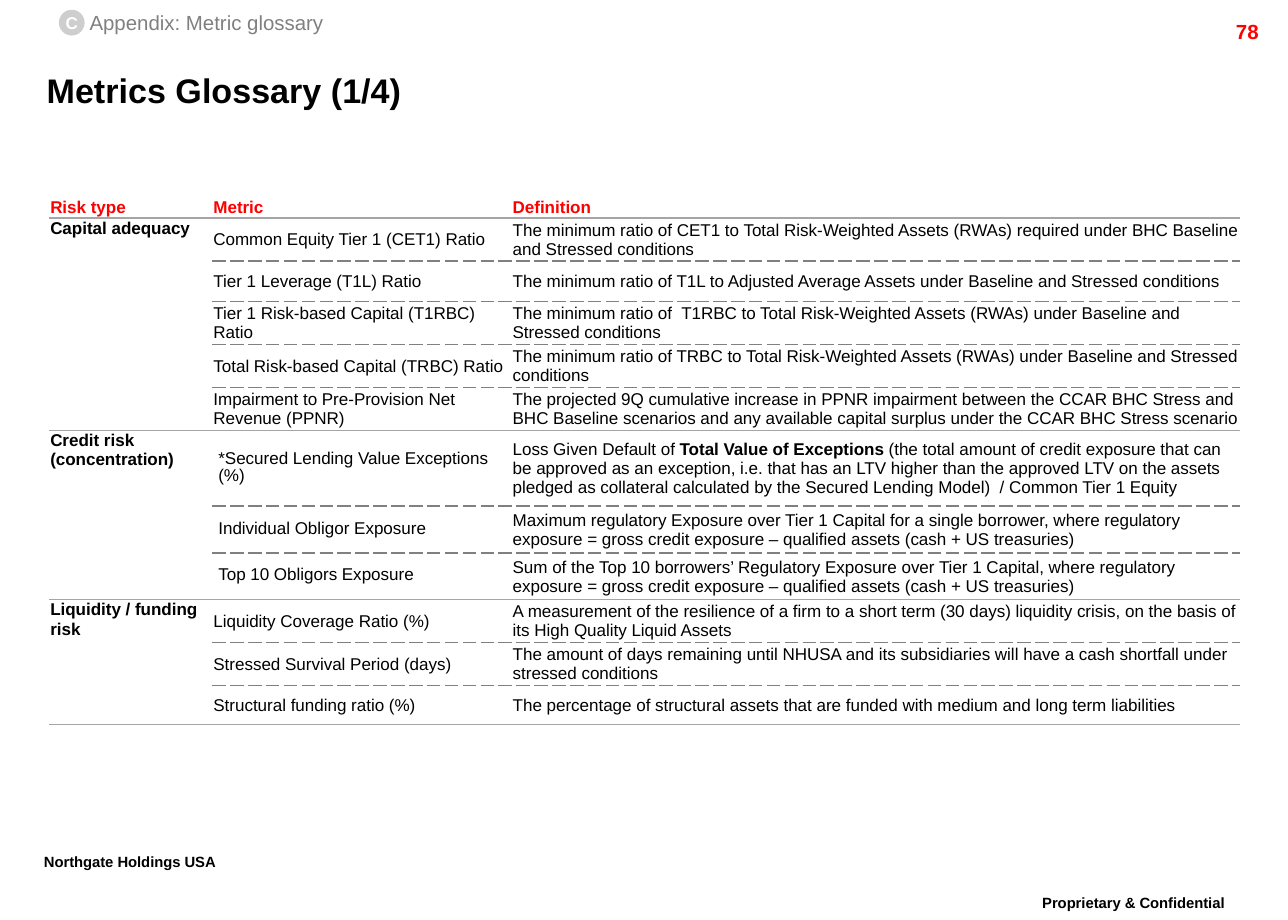
from dataclasses import dataclass

from lxml.etree import SubElement
from pptx import Presentation
from pptx.dml.color import RGBColor
from pptx.enum.shapes import MSO_SHAPE
from pptx.enum.text import MSO_ANCHOR, MSO_AUTO_SIZE, PP_ALIGN
from pptx.oxml.ns import qn
from pptx.util import Inches, Pt


@dataclass(frozen=True)
class Theme:
    font: str = "Arial"
    black: str = "000000"
    red: str = "FF0000"
    white: str = "FFFFFF"
    gray: str = "808080"
    badge: str = "CECECE"
    rule: str = "A5A5A5"
    title_size: int = 20
    footer_size: int = 15
    label_size: int = 12
    body_size: int = 10


THEME = Theme()
SOLID = (THEME.rule, 0.75, "solid")
DASHED = (THEME.gray, 1, "sysDash")
TIGHT = (0.01, 0.01, 0.01, 0)
PADDED = (0.05, 0.05, 0.05, 0.05)
COLUMN_WIDTHS = (1.33, 2.44, 5.94)
HEADINGS = ("Risk type", "Metric", "Definition")
HEADING_HEIGHT = 0.17

GLOSSARY = [
    ("Capital adequacy", TIGHT, [
        (0.35, "Common Equity Tier 1 (CET1) Ratio",
         "The minimum ratio of CET1 to Total Risk-Weighted Assets (RWAs) required under BHC Baseline and Stressed conditions"),
        (0.33, "Tier 1 Leverage (T1L) Ratio",
         "The minimum ratio of T1L to Adjusted Average Assets under Baseline and Stressed conditions"),
        (0.35, "Tier 1 Risk-based Capital (T1RBC) Ratio",
         "The minimum ratio of  T1RBC to Total Risk-Weighted Assets (RWAs) under Baseline and Stressed conditions"),
        (0.35, "Total Risk-based Capital (TRBC) Ratio",
         "The minimum ratio of TRBC to Total Risk-Weighted Assets (RWAs) under Baseline and Stressed conditions"),
        (0.35, "Impairment to Pre-Provision Net Revenue (PPNR)",
         "The projected 9Q cumulative increase in PPNR impairment between the CCAR BHC Stress and BHC Baseline scenarios and any available capital surplus under the CCAR BHC Stress scenario"),
    ]),
    ("Credit risk (concentration)", PADDED, [
        (0.62, "*Secured Lending Value Exceptions (%)",
         "Loss Given Default of **Total Value of Exceptions **(the total amount of credit exposure that can be approved as an exception, i.e. that has an LTV higher than the approved LTV on the assets pledged as collateral calculated by the Secured Lending Model)  / Common Tier 1 Equity"),
        (0.38, "Individual Obligor Exposure",
         "Maximum regulatory Exposure over Tier 1 Capital for a single borrower, where regulatory exposure = gross credit exposure – qualified assets (cash + US treasuries)"),
        (0.38, "Top 10 Obligors Exposure",
         "Sum of the Top 10 borrowers’ Regulatory Exposure over Tier 1 Capital, where regulatory exposure = gross credit exposure – qualified assets (cash + US treasuries)"),
    ]),
    ("Liquidity / funding risk", TIGHT, [
        (0.35, "Liquidity Coverage Ratio (%)",
         "A measurement of the resilience of a firm to a short term (30 days) liquidity crisis, on the basis of its High Quality Liquid Assets"),
        (0.35, "Stressed Survival Period (days)",
         "The amount of days remaining until NHUSA and its subsidiaries will have a cash shortfall under stressed conditions"),
        (0.32, "Structural funding ratio (%)",
         "The percentage of structural assets that are funded with medium and long term liabilities"),
    ]),
]


def write_text(frame, text, size=THEME.body_size, color=THEME.black, bold=False,
               align=PP_ALIGN.LEFT, spacing=None, raised=False):
    paragraph = frame.paragraphs[0]
    paragraph.alignment = align
    if spacing:
        paragraph.line_spacing = spacing
    for index, part in enumerate(text.split("**")):
        run = paragraph.add_run()
        run.text = part
        run.font.name = THEME.font
        run.font.size = Pt(size)
        run.font.bold = bold or index % 2 == 1
        run.font.color.rgb = RGBColor.from_string(color)
        if raised:
            run.font._element.set("baseline", "30000")


def set_margins(target, margins):
    (target.margin_left, target.margin_top,
     target.margin_right, target.margin_bottom) = map(Inches, margins)


def add_label(slide, box, text, margins=(0.1, 0.05, 0.1, 0.05),
              anchor=MSO_ANCHOR.TOP, wrap=True, **text_format):
    frame = slide.shapes.add_textbox(*map(Inches, box)).text_frame
    frame.word_wrap = wrap
    frame.vertical_anchor = anchor
    set_margins(frame, margins)
    write_text(frame, text, **text_format)


def set_borders(cell, top=None, bottom=None):
    properties = cell._tc.get_or_add_tcPr()
    sides = (("a:lnL", None), ("a:lnR", None), ("a:lnT", top), ("a:lnB", bottom))
    for position, (tag, style) in enumerate(sides):
        line = SubElement(properties, qn(tag))
        properties.insert(position, line)
        if style is None:
            SubElement(line, qn("a:noFill"))
            continue
        color, width, dash = style
        line.set("w", str(Pt(width)))
        fill = SubElement(line, qn("a:solidFill"))
        SubElement(fill, qn("a:srgbClr")).set("val", color)
        SubElement(line, qn("a:prstDash")).set("val", dash)


def fill_cell(cell, text, top=None, bottom=None, margins=TIGHT,
              anchor=MSO_ANCHOR.MIDDLE, **text_format):
    cell.fill.background()
    cell.vertical_anchor = anchor
    set_margins(cell, margins)
    set_borders(cell, top, bottom)
    if text:
        write_text(cell.text_frame, text, **text_format)


def add_section_marker(slide, left, top):
    badge = slide.shapes.add_shape(
        MSO_SHAPE.OVAL, Inches(left), Inches(top), Inches(0.21), Inches(0.21))
    badge.shadow.inherit = False
    badge.fill.solid()
    badge.fill.fore_color.rgb = RGBColor.from_string(THEME.badge)
    badge.line.fill.background()
    frame = badge.text_frame
    frame.word_wrap = False
    frame.vertical_anchor = MSO_ANCHOR.MIDDLE
    set_margins(frame, (0, 0, 0, 0))
    write_text(frame, "C", color=THEME.white, bold=True, align=PP_ALIGN.CENTER)
    add_label(slide, (left + 0.25, top, 1.92, 0.2), "Appendix: Metric glossary",
              margins=(0, 0, 0, 0), anchor=MSO_ANCHOR.MIDDLE, wrap=False,
              size=THEME.label_size, color=THEME.gray)


def place_title(slide, box, text):
    title = slide.shapes.title
    title.left, title.top, title.width, title.height = map(Inches, box)
    frame = title.text_frame
    frame.auto_size = MSO_AUTO_SIZE.NONE
    frame.vertical_anchor = MSO_ANCHOR.MIDDLE
    set_margins(frame, (0, 0, 0, 0))
    write_text(frame, text, size=THEME.title_size, bold=True)


def add_glossary(slide, left, top):
    heights = [HEADING_HEIGHT] + [row[0] for group in GLOSSARY for row in group[2]]
    table = slide.shapes.add_table(
        len(heights), len(COLUMN_WIDTHS), Inches(left), Inches(top),
        Inches(sum(COLUMN_WIDTHS)), Inches(sum(heights))).table
    table.first_row = False
    table.horz_banding = False
    for column, width in zip(table.columns, COLUMN_WIDTHS):
        column.width = Inches(width)
    for row, height in zip(table.rows, heights):
        row.height = Inches(height)
    for column, heading in enumerate(HEADINGS):
        fill_cell(table.cell(0, column), heading, bottom=SOLID, color=THEME.red, bold=True)

    first = 1
    for risk_type, metric_margins, metrics in GLOSSARY:
        last = first + len(metrics) - 1
        for row, (height, metric, definition) in enumerate(metrics, first):
            top_line = SOLID if row == first else DASHED
            bottom_line = SOLID if row == last else DASHED
            fill_cell(table.cell(row, 0), risk_type if row == first else "",
                      top=SOLID if row == first else None,
                      bottom=SOLID if row in (first, last) else None,
                      anchor=MSO_ANCHOR.TOP, bold=True)
            fill_cell(table.cell(row, 1), metric, top_line, bottom_line, metric_margins,
                      spacing=Pt(10) if metric_margins == PADDED else None)
            fill_cell(table.cell(row, 2), definition, top_line, bottom_line)
        table.cell(first, 0).merge(table.cell(last, 0))
        first = last + 1


def add_page_furniture(slide):
    footer = dict(size=THEME.footer_size, bold=True, spacing=0.86, raised=True)
    add_label(slide, (8.15, 7.25, 2.18, 0.35), "Proprietary & Confidential",
              align=PP_ALIGN.CENTER, **footer)
    add_label(slide, (0.26, 6.91, 1.91, 0.35), "Northgate Holdings USA", **footer)
    add_label(slide, (9.36, 0.11, 1, 0.24), "78", size=THEME.label_size,
              color=THEME.red, bold=True, align=PP_ALIGN.RIGHT)


def main():
    presentation = Presentation()
    presentation.slide_width = Inches(10.5)
    presentation.slide_height = Inches(7.5)
    slide = presentation.slides.add_slide(presentation.slide_layouts[5])
    add_page_furniture(slide)
    place_title(slide, (0.38, 0.49, 9.48, 0.48), "Metrics Glossary (1/4)")
    add_section_marker(slide, 0.48, 0.08)
    add_glossary(slide, 0.4, 1.6)
    presentation.save("out.pptx")


if __name__ == "__main__":
    main()
